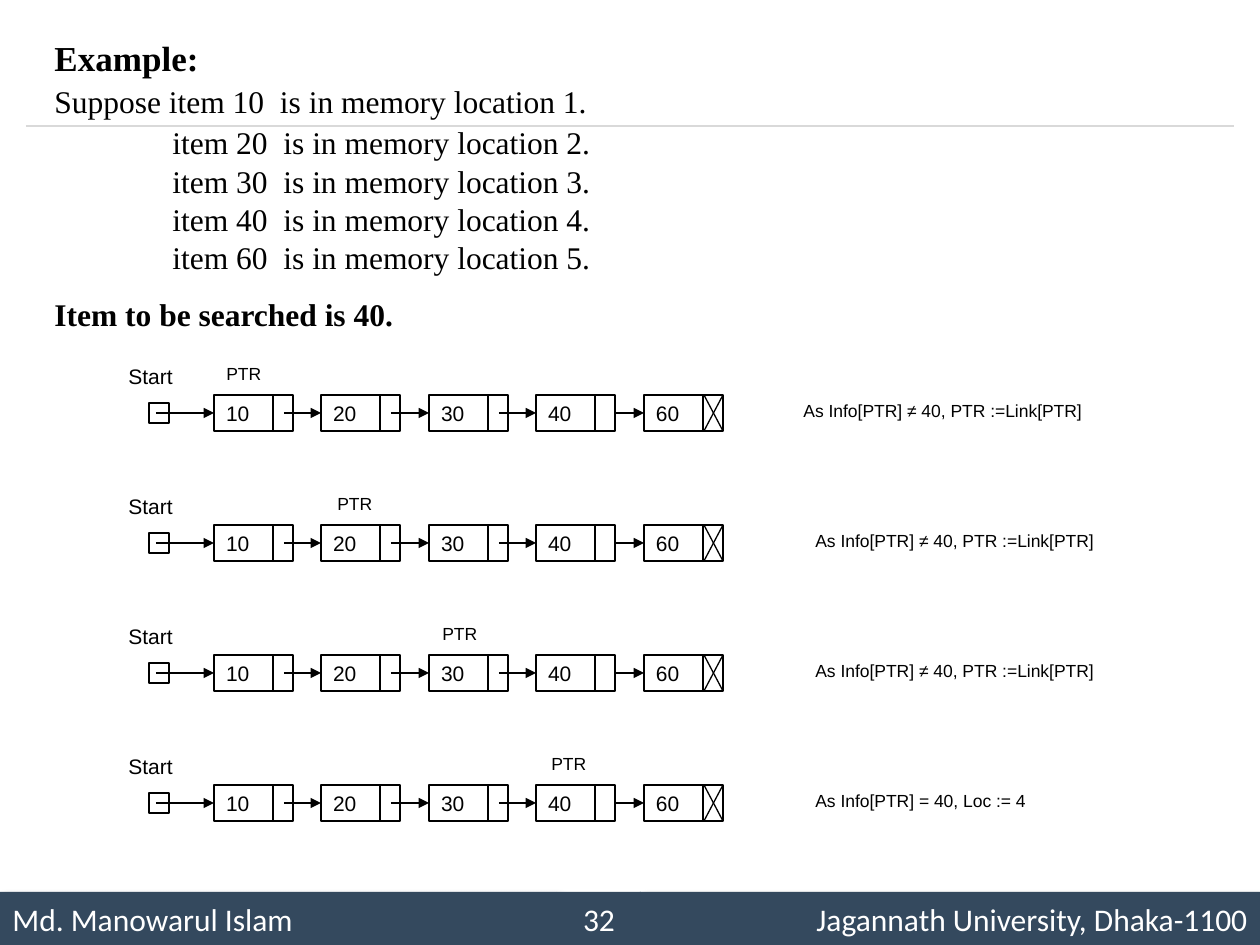
from lxml.etree import SubElement
from pptx import Presentation
from pptx.dml.color import RGBColor
from pptx.enum.shapes import MSO_CONNECTOR, MSO_SHAPE
from pptx.enum.text import MSO_ANCHOR, MSO_AUTO_SIZE, PP_ALIGN
from pptx.oxml import parse_xml
from pptx.oxml.ns import nsdecls, qn
from pptx.util import Emu, Pt

COLORS = {"ink": "000000", "paper": "FFFFFF", "footer": "34495E", "rule": "D9D9D9"}
ITEMS = [10, 20, 30, 40, 60]
NOT_FOUND = "As Info[PTR] ≠ 40, PTR :=Link[PTR]"
STEPS = [
    (214, 791, NOT_FOUND),
    (325, 803, NOT_FOUND),
    (430, 803, NOT_FOUND),
    (539, 803, "As Info[PTR] = 40, Loc := 4"),
]
ROW_TOP, ROW_STEP = 395, 130
NODE_LEFT, NODE_W, NODE_H, LINK_X = 214, 79, 36, 59


def px(n):
    """Turn px into EMU at 126 px to the inch."""
    return Emu(round(n * 914400 / 126))


def rgb(name):
    """Look up a colour by name."""
    return RGBColor.from_string(COLORS[name])


def write(p, text, size=12, font="Arial", color="ink", bold=False,
          align=PP_ALIGN.LEFT, spacing=1.0, before=0, indent=0):
    """Put formatted text in a paragraph."""
    if indent:
        p._p.get_or_add_pPr().set("marL", str(px(indent)))
    p.alignment, p.line_spacing, p.space_before = align, spacing, Pt(before)
    r = p.add_run()
    r.text = text
    r.font.size, r.font.name, r.font.bold = Pt(size), font, bold
    r.font.color.rgb = rgb(color)


def add_text(s, x, y, w, h, text, **fmt):
    """Add a one-paragraph text box."""
    tf = s.shapes.add_textbox(px(x), px(y), px(w), px(h)).text_frame
    tf.word_wrap = True
    write(tf.paragraphs[0], text, **fmt)


def add_rect(s, x, y, w, h, fill="paper", line="ink"):
    """Add a flat rectangle with an optional outline."""
    sp = s.shapes.add_shape(MSO_SHAPE.RECTANGLE, px(x), px(y), px(w), px(h))
    sp.shadow.inherit = False
    sp.fill.solid()
    sp.fill.fore_color.rgb = rgb(fill)
    if line:
        sp.line.color.rgb = rgb(line)
        sp.line.width = Pt(0.75)
    else:
        sp.line.fill.background()
    sp.text_frame.vertical_anchor = MSO_ANCHOR.MIDDLE
    return sp


def add_line(s, x1, y1, x2, y2, color="ink", arrow=False):
    """Add a straight line, with an arrowhead at its end on request."""
    c = s.shapes.add_connector(MSO_CONNECTOR.STRAIGHT, px(x1), px(y1), px(x2), px(y2))
    c.line.color.rgb = rgb(color)
    c.line.width = Pt(0.75)
    if arrow:
        SubElement(c.line._get_or_add_ln(), qn("a:tailEnd"), type="triangle")
    SubElement(c._element.spPr, qn("a:effectLst"))
    return c


def add_footer_cell(s, x, w, text, align, shadow=True):
    """Add one cell of the footer bar."""
    sp = add_rect(s, x, 892, w, 53, fill="footer", line=None)
    write(sp.text_frame.paragraphs[0], text, size=18, font="Calibri",
          color="paper", align=align)
    if shadow:
        sp._element.spPr.find(qn("a:effectLst")).append(parse_xml(
            f'<a:outerShdw {nsdecls("a")} blurRad="50800" dist="38100" dir="2700000">'
            f'<a:srgbClr val="{COLORS["ink"]}"><a:alpha val="40000"/></a:srgbClr>'
            '</a:outerShdw>'))


def add_node(s, x, y, value):
    """Add a list node: a value cell and a link cell."""
    sp = add_rect(s, x, y, NODE_W, NODE_H)
    tf = sp.text_frame
    tf.margin_left, tf.margin_right = px(12), px(NODE_W - LINK_X)
    write(tf.paragraphs[0], str(value))
    add_line(s, x + LINK_X, y, x + LINK_X, y + NODE_H)
    return sp


def add_list(s, y):
    """Add the start pointer and the linked list of all items."""
    mid = y + NODE_H // 2
    add_text(s, 116, y - 38, 98, 37, "Start")
    add_rect(s, 149, mid - 10, 20, 20)
    lefts = [NODE_LEFT + 215 * i // 2 for i in range(len(ITEMS))]
    nodes = [add_node(s, x, y, value) for x, value in zip(lefts, ITEMS)]
    tails = [156] + [x + 70 for x in lefts[:-1]]
    arrows = [add_line(s, tail, mid, x, mid, arrow=True)
              for tail, x in zip(tails, lefts)]
    for arrow, node in zip(arrows, nodes):
        arrow.end_connect(node, 1)
    arrows[-1].begin_connect(nodes[-2], 3)
    left, right = lefts[-1] + LINK_X + 1, lefts[-1] + NODE_W
    add_line(s, left, y, right, y + NODE_H)
    add_line(s, right, y, left, y + NODE_H)


def add_example(s):
    """Add the text that sets out the example."""
    tf = s.shapes.add_textbox(px(42), px(30), px(1176), px(369)).text_frame
    tf.word_wrap = True
    tf.auto_size = MSO_AUTO_SIZE.SHAPE_TO_FIT_TEXT
    place = "item {}  is in memory location {}."
    lines = [("Example:", dict(size=20, bold=True))]
    layouts = [dict(spacing=0.6, before=10), dict(spacing=0.6, before=10, indent=118),
               dict(spacing=1.1, indent=118), dict(indent=118), dict(indent=118)]
    for i, (item, fmt) in enumerate(zip(ITEMS, layouts), 1):
        lead = "Suppose " if i == 1 else ""
        lines.append((lead + place.format(item, i), fmt))
    lines.append(("Item to be searched is 40.", dict(bold=True, spacing=1.5)))
    for i, (text, fmt) in enumerate(lines):
        p = tf.add_paragraph() if i else tf.paragraphs[0]
        write(p, text, **{"size": 18, "font": "Times New Roman", **fmt})


def main():
    """Build the slide and save it."""
    prs = Presentation()
    prs.slide_width, prs.slide_height = px(1260), px(945)
    s = prs.slides.add_slide(prs.slide_layouts[6])
    add_footer_cell(s, 0, 557, "Md. Manowarul Islam", PP_ALIGN.LEFT)
    add_line(s, 26, 126, 1234, 126, color="rule")
    add_footer_cell(s, 640, 620, "Jagannath University, Dhaka-1100", PP_ALIGN.RIGHT)
    add_footer_cell(s, 557, 84, "32", PP_ALIGN.CENTER, shadow=False)
    for i, (ptr_x, note_x, note) in enumerate(STEPS):
        y = ROW_TOP + i * ROW_STEP
        add_list(s, y)
        add_text(s, ptr_x, y - 38, 78, 37, "PTR", size=10)
        add_text(s, note_x, y - 1, 373, 55, note, size=10)
    add_example(s)
    prs.save("out.pptx")


if __name__ == "__main__":
    main()
